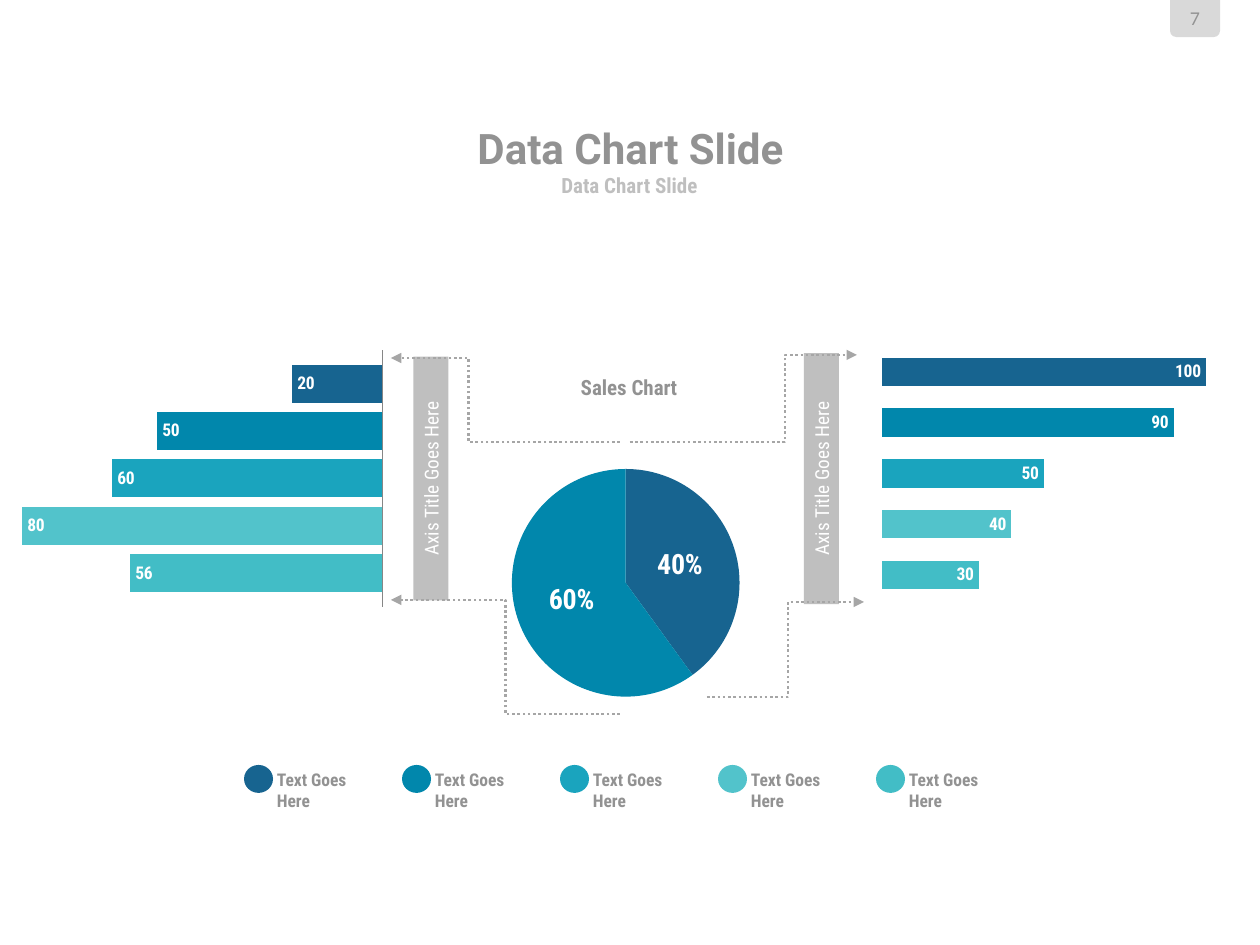
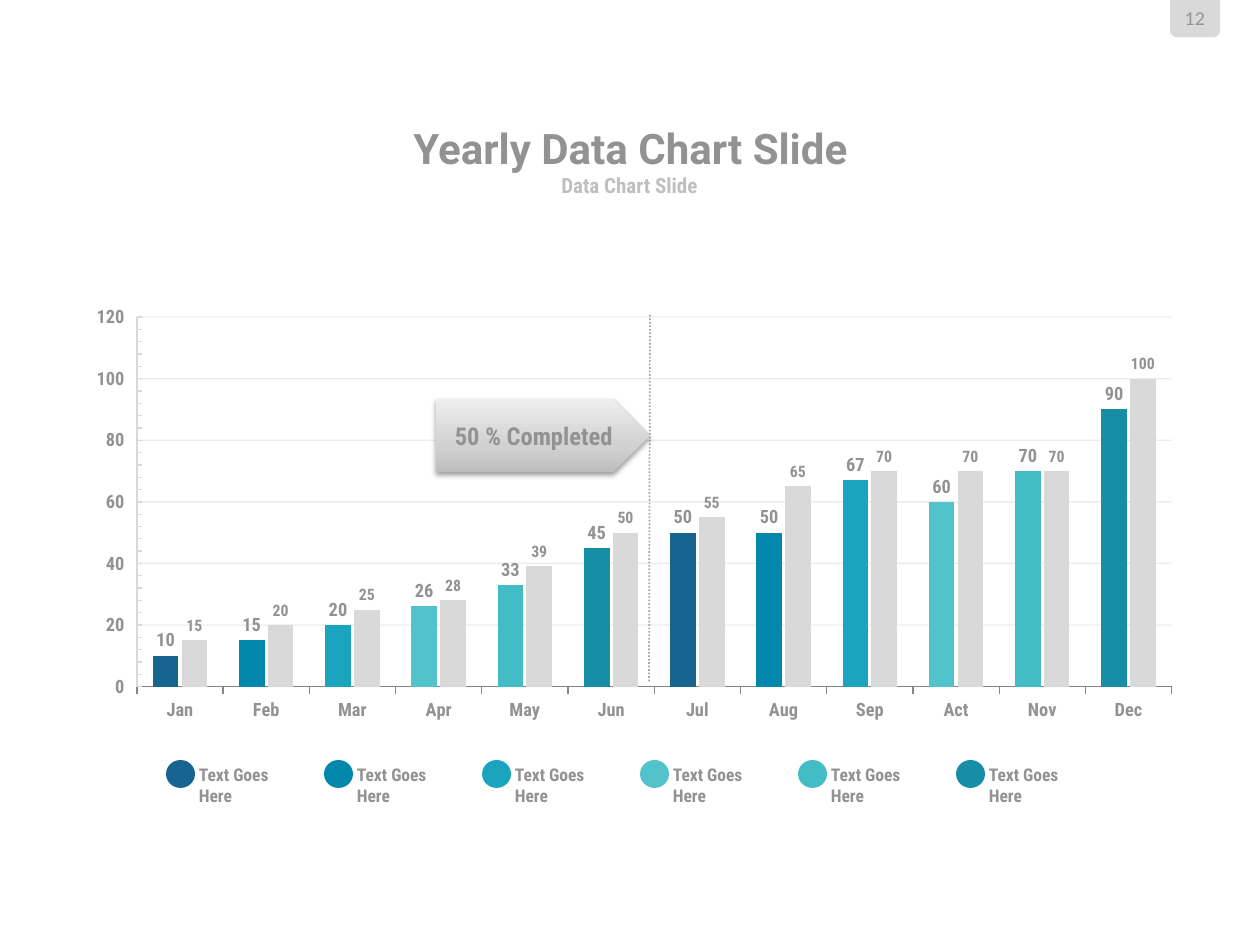
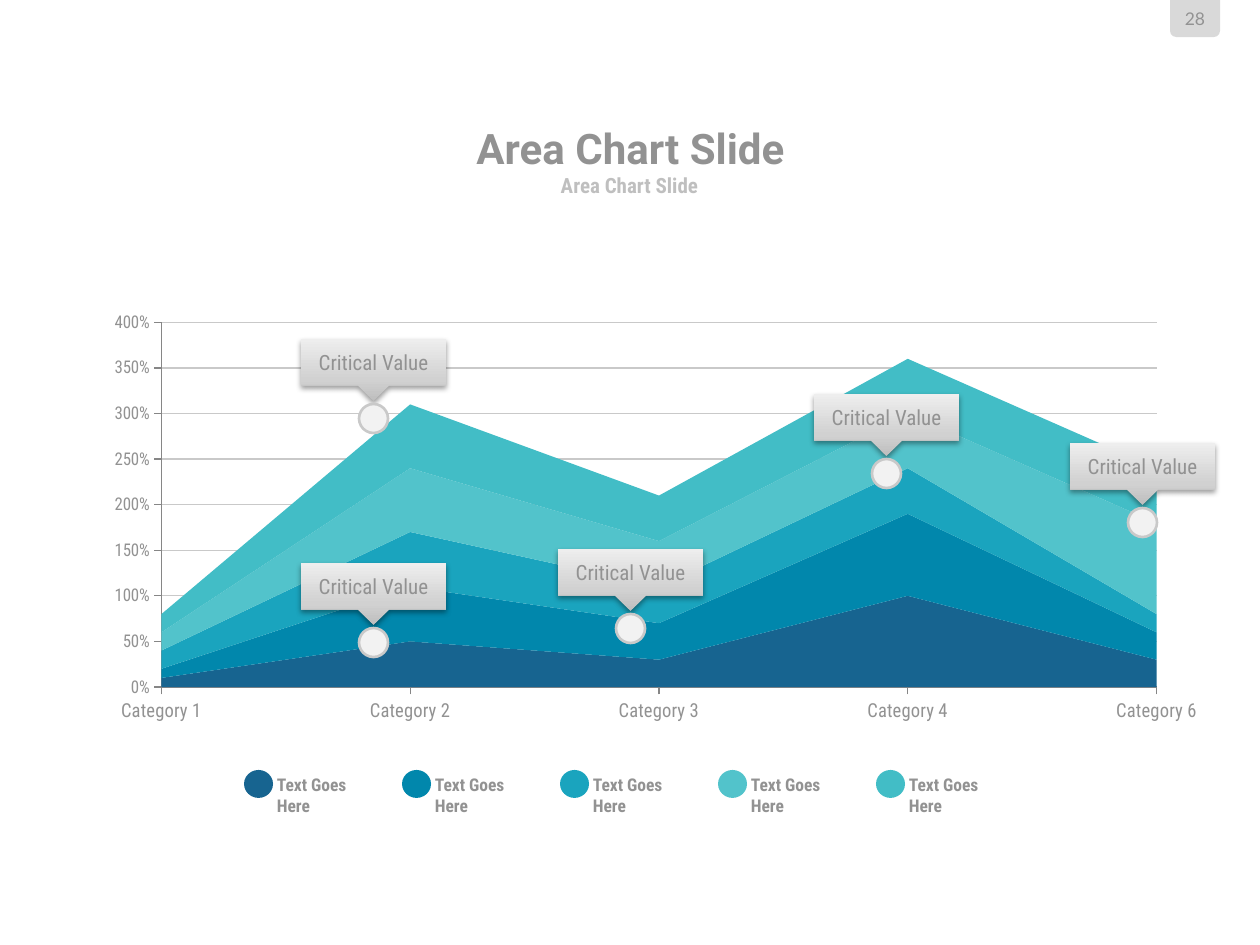
import lxml.etree
import pptx
import pptx.chart.data
import pptx.dml.color
import pptx.enum.chart
import pptx.enum.dml
import pptx.enum.shapes
import pptx.enum.text
import pptx.oxml
import pptx.oxml.ns
import pptx.util

PX = 914400 / 126
FONT = "Roboto Condensed"
COLORS = {
    "navy": "176490", "blue": "0187AC", "cyan": "1AA4BE", "aqua": "52C3CB",
    "teal": "42BDC6", "deep": "168EA6", "text": "929292", "subtitle": "BFBFBF",
    "tab": "D9D9D9", "white": "FFFFFF", "link": "A6A6A6", "grid": "C9C9C9",
    "dot": "F2F2F2", "axis": "868686",
}
RGB = {name: pptx.dml.color.RGBColor.from_string(v) for name, v in COLORS.items()}
PALETTE = ["navy", "blue", "cyan", "aqua", "teal", "deep"]
NS = pptx.oxml.ns.nsdecls("a")
GRADIENT = f"""<a:gradFill {NS} rotWithShape="1"><a:gsLst>
<a:gs pos="0"><a:srgbClr val="BEBEBE"/></a:gs>
<a:gs pos="35000"><a:srgbClr val="D1D1D1"/></a:gs>
<a:gs pos="100000"><a:srgbClr val="EEEEEE"/></a:gs>
</a:gsLst><a:lin ang="16200000" scaled="0"/></a:gradFill>"""
SHADOW = f"""<a:effectLst {NS}>
<a:outerShdw blurRad="40000" dist="20000" dir="5400000" rotWithShape="0">
<a:srgbClr val="000000"><a:alpha val="38000"/></a:srgbClr>
</a:outerShdw></a:effectLst>"""

qn = pptx.oxml.ns.qn
SHAPE = pptx.enum.shapes.MSO_SHAPE
CONNECTOR = pptx.enum.shapes.MSO_CONNECTOR
ALIGN = pptx.enum.text.PP_ALIGN
ANCHOR = pptx.enum.text.MSO_ANCHOR
CHART = pptx.enum.chart.XL_CHART_TYPE
TICK = pptx.enum.chart.XL_TICK_MARK
TICK_LABEL = pptx.enum.chart.XL_TICK_LABEL_POSITION
LABEL = pptx.enum.chart.XL_LABEL_POSITION


def px(*lengths):
    """Turn px lengths into a list of EMU."""
    return [pptx.util.Emu(round(n * PX)) for n in lengths]


def write(sp, text, size, color="text", font=FONT, bold=False,
          align=ALIGN.CENTER, anchor=ANCHOR.MIDDLE):
    tf = sp.text_frame
    tf.auto_size = pptx.enum.text.MSO_AUTO_SIZE.NONE
    tf.word_wrap = True
    tf.vertical_anchor = anchor
    tf.margin_left = tf.margin_right = tf.margin_top = tf.margin_bottom = 0
    p = tf.paragraphs[0]
    p.alignment = align
    p.space_before = pptx.util.Pt(0)
    r = p.add_run()
    r.text = text
    r.font.size = pptx.util.Pt(size)
    r.font.name = font
    r.font.bold = bold
    r.font.color.rgb = RGB[color]
    return p


prs = pptx.Presentation()
prs.slide_width, prs.slide_height = px(1260, 945)

# Shared parts: title, subtitle, page tab and legend
slides = []
for title, subtitle, page, legend_x, legend_y, legend_count in [
    ("Data Chart Slide", "Data Chart Slide", "7", 244, 765, 5),
    ("Yearly Data Chart Slide", "Data Chart Slide", "12", 166, 760, 6),
    ("Area Chart Slide", "Area Chart Slide", "28", 244, 770, 5),
]:
    s = prs.slides.add_slide(prs.slide_layouts[1])
    slides.append(s)
    sp = s.shapes.title
    sp.left, sp.top, sp.width, sp.height = px(242, 123, 777, 49)
    write(sp, title, 24, font="Roboto", bold=True)
    sp = s.placeholders[1]
    sp.left, sp.top, sp.width, sp.height = px(346, 171, 567, 28)
    pPr = write(sp, subtitle, 12, "subtitle", bold=True)._p.get_or_add_pPr()
    pPr.set("marL", "0")
    pPr.set("indent", "0")
    lxml.etree.SubElement(pPr, qn("a:buNone"))

    tab = s.shapes.add_shape(SHAPE.ROUND_2_SAME_RECTANGLE, *px(1170, 0, 50, 37))
    tab.rotation = 180
    tab.shadow.inherit = False
    tab.fill.solid()
    tab.fill.fore_color.rgb = RGB["tab"]
    tab.line.fill.background()
    write(s.shapes.add_textbox(*px(1174, 8, 42, 21)), page, 10, font="Lato")

    for i in range(legend_count):
        x = legend_x + 158 * i
        write(s.shapes.add_textbox(*px(x + 33, legend_y + 4, 100, 21)),
              "Text Goes Here", 10, bold=True, align=ALIGN.LEFT, anchor=ANCHOR.TOP)
        dot = s.shapes.add_shape(SHAPE.OVAL, *px(x, legend_y, 29, 28))
        dot.shadow.inherit = False
        dot.fill.solid()
        dot.fill.fore_color.rgb = RGB[PALETTE[i]]
        dot.line.fill.background()
sales, yearly, area = slides

# Charts: data, frame, inner plot area and base font
MONTHS = ["Jan", "Feb", "Mar", "Apr", "May", "Jun",
          "Jul", "Aug", "Sep", "Act", "Nov", "Dec"]
charts = []
for s, kind, frame, plot_box, size, color, bold, cats, rows in [
    (sales, CHART.PIE, (443, 349, 362, 414), (0.19, 0.29, 0.63, 0.55),
     16, "white", True, ["1", "2"], [[40, 60]]),
    (sales, CHART.BAR_CLUSTERED, (861, 336, 410, 267), (0.05, 0.08, 0.95, 0.87),
     10, "white", True, ["1"], [[100], [90], [50], [40], [30]]),
    (sales, CHART.BAR_CLUSTERED, (-31, 345, 422, 267), (0.02, 0.02, 0.96, 0.96),
     10, "white", True, ["1"], [[20], [50], [60], [80], [56]]),
    (yearly, CHART.COLUMN_CLUSTERED, (31, 294, 1176, 462), (0.09, 0.05, 0.88, 0.8),
     10.5, "text", True, MONTHS,
     [[10, 15, 20, 26, 33, 45, 50, 50, 67, 60, 70, 90],
      [15, 20, 25, 28, 39, 50, 55, 65, 70, 70, 70, 100]]),
    (area, CHART.AREA_STACKED, (63, 284, 1134, 480), (0.09, 0.08, 0.91, 0.76),
     11, "text", False, [f"Category {n}" for n in (1, 2, 3, 4, 6)],
     [[0.1, 0.5, 0.3, 1, 0.3], [0.1, 0.6, 0.4, 0.9, 0.3], [0.2, 0.6, 0.4, 0.5, 0.2],
      [0.2, 0.7, 0.5, 0.6, 1], [0.2, 0.7, 0.5, 0.6, 0.6]]),
]:
    data = pptx.chart.data.CategoryChartData()
    data.categories = cats
    for n, row in enumerate(rows, 1):
        data.add_series(f"Series {n}", row)
    chart = s.shapes.add_chart(kind, *px(*frame), data).chart
    charts.append(chart)
    chart.has_legend = False
    chart.has_title = False
    chart.font.size = pptx.util.Pt(size)
    chart.font.name = FONT
    chart.font.bold = bold
    chart.font.color.rgb = RGB[color]
    chart.plots[0].vary_by_categories = False
    for series, name in zip(chart.plots[0].series, PALETTE):
        series.format.fill.solid()
        series.format.fill.fore_color.rgb = RGB[name]

    plot_area = chart._chartSpace.chart.plotArea
    for old in plot_area.findall(qn("c:layout")):
        plot_area.remove(old)
    layout = lxml.etree.Element(qn("c:layout"))
    plot_area.insert(0, layout)
    manual = lxml.etree.SubElement(layout, qn("c:manualLayout"))
    for tag, val in [("layoutTarget", "inner"), ("xMode", "edge"), ("yMode", "edge"),
                     *zip("xywh", plot_box)]:
        lxml.etree.SubElement(manual, qn(f"c:{tag}"), val=str(val))
pie, right_bars, left_bars, columns, stack = charts

# Pie
pie.has_title = True
p = pie.chart_title.text_frame.paragraphs[0]
r = p.add_run()
r.text = "Sales Chart"
r.font.size = pptx.util.Pt(12)
r.font.bold = True
r.font.name = FONT
r.font.color.rgb = RGB["text"]
layout = pie.chart_title._element.find(qn("c:layout"))
manual = lxml.etree.SubElement(layout, qn("c:manualLayout"))
for tag, val in [("xMode", "edge"), ("yMode", "edge"), ("x", "0.37"), ("y", "0.05")]:
    lxml.etree.SubElement(manual, qn(f"c:{tag}"), val=val)
plot = pie.plots[0]
plot.vary_by_categories = True
for i in range(2):
    fill = plot.series[0].points[i].format.fill
    fill.solid()
    fill.fore_color.rgb = RGB[PALETTE[i]]
plot.has_data_labels = True
labels = plot.data_labels
labels.show_value = False
labels.show_percentage = True
labels.number_format = "0%"
labels.number_format_is_linked = False
labels.position = LABEL.CENTER

# Mirrored bars
for chart, gap, overlap, top in [(right_bars, 2, -78, 120), (left_bars, 75, -25, 90)]:
    plot = chart.plots[0]
    plot.gap_width = gap
    plot.overlap = overlap
    plot.has_data_labels = True
    plot.data_labels.show_value = True
    plot.data_labels.position = LABEL.INSIDE_END
    chart.category_axis.reverse_order = True
    chart.value_axis.has_major_gridlines = False
    chart.value_axis.minimum_scale = 0
    chart.value_axis.maximum_scale = top
right_bars.category_axis.visible = False
right_bars.value_axis.visible = False
left_bars.value_axis.reverse_order = True
for axis in (left_bars.category_axis, left_bars.value_axis):
    axis.tick_label_position = TICK_LABEL.NONE
    axis.major_tick_mark = TICK.NONE
left_bars.category_axis.format.line.color.rgb = RGB["axis"]
left_bars.value_axis.format.line.fill.background()

# Monthly columns and stacked areas share their axis style
for chart, top, step, grid, line in [(columns, 120, 20, "tab", "tab"),
                                     (stack, 4, 0.5, "grid", "axis")]:
    chart.category_axis.major_tick_mark = TICK.OUTSIDE
    chart.category_axis.format.line.color.rgb = RGB["axis"]
    axis = chart.value_axis
    axis.minimum_scale = 0
    axis.maximum_scale = top
    axis.major_unit = step
    axis.format.line.color.rgb = RGB[line]
    axis.format.line.width = pptx.util.Pt(0.75)
    axis.has_major_gridlines = True
    axis.major_gridlines.format.line.color.rgb = RGB[grid]
    axis.major_gridlines.format.line.width = pptx.util.Pt(0.75)

axis = columns.value_axis
axis.tick_label_position = TICK_LABEL.LOW
axis.major_tick_mark = TICK.NONE
axis.minor_tick_mark = TICK.INSIDE
axis.minor_unit = 4
grid_color = axis._element.xpath("c:majorGridlines//a:srgbClr")[0]
lxml.etree.SubElement(grid_color, qn("a:alpha"), val="48000")
plot = columns.plots[0]
plot.gap_width = 124
plot.overlap = -12
actual, target = plot.series
target.format.fill.fore_color.rgb = RGB["tab"]
for i in range(len(MONTHS)):
    fill = actual.points[i].format.fill
    fill.solid()
    fill.fore_color.rgb = RGB[PALETTE[i % len(PALETTE)]]
for series, size in [(actual, 10.5), (target, 9)]:
    labels = series.data_labels
    labels.show_value = True
    labels.position = LABEL.OUTSIDE_END
    labels.font.size = pptx.util.Pt(size)
    labels.font.name = FONT
    labels.font.bold = True
    labels.font.color.rgb = RGB["text"]

axis = stack.value_axis
axis.major_tick_mark = TICK.OUTSIDE
axis.tick_labels.font.size = pptx.util.Pt(10)
axis.tick_labels.number_format = "0%"
axis.tick_labels.number_format_is_linked = False
axis._element.find(qn("c:crossBetween")).set("val", "midCat")

# Axis titles beside the pie
for x, length in [(309, 244), (696, 251)]:
    bar = sales.shapes.add_shape(SHAPE.RECTANGLE, *px(x, 461, length, 35))
    bar.rotation = 270
    bar.shadow.inherit = False
    bar.fill.solid()
    bar.fill.fore_color.rgb = RGB["subtitle"]
    bar.line.fill.background()
    write(bar, "Axis Title Goes Here", 11, "white")

# Dotted lines: bent arrows have a bend position, the halfway mark has none
for s, ends, bend, width in [
    (sales, (630, 442, 857, 355), 68300, 1.5),
    (sales, (707, 697, 864, 602), 51700, 1.5),
    (sales, (620, 442, 391, 358), 66100, 1.5),
    (sales, (620, 714, 391, 600), 50000, 1.5),
    (yearly, (650, 315, 649, 683), None, 1),
]:
    kind = CONNECTOR.ELBOW if bend else CONNECTOR.STRAIGHT
    link = s.shapes.add_connector(kind, *px(*ends))
    link.line.color.rgb = RGB["link"]
    link.line.width = pptx.util.Pt(width)
    link.line.dash_style = pptx.enum.dml.MSO_LINE.ROUND_DOT
    spPr = link._element.spPr
    if bend:
        lxml.etree.SubElement(spPr.xpath(".//a:avLst")[0], qn("a:gd"),
                              name="adj1", fmla=f"val {bend}")
        lxml.etree.SubElement(spPr.find(qn("a:ln")), qn("a:tailEnd"), type="triangle")
    lxml.etree.SubElement(spPr, qn("a:effectLst"))

# Gradient callouts, with a marker under each critical value
CRITICAL = [(301, 563), (558, 549), (814, 394), (1070, 443), (301, 339)]
for s, kind, box, text, size, bold in [
    (yearly, SHAPE.PENTAGON, (436, 399, 214, 73), "50 % Completed", 14, True),
    *[(area, SHAPE.DOWN_ARROW_CALLOUT, (x, y, 145, 62), "Critical Value", 12, False)
      for x, y in CRITICAL],
]:
    sp = s.shapes.add_shape(kind, *px(*box))
    spPr = sp._element.spPr
    spPr.append(pptx.oxml.parse_xml(GRADIENT))
    sp.line.fill.background()
    spPr.append(pptx.oxml.parse_xml(SHADOW))
    write(sp, text, size, bold=bold)
    if kind == SHAPE.DOWN_ARROW_CALLOUT:
        sp.adjustments[3] = 0.75
        marker = s.shapes.add_shape(SHAPE.OVAL, *px(box[0] + 58, box[1] + 65, 29, 29))
        marker.shadow.inherit = False
        marker.fill.solid()
        marker.fill.fore_color.rgb = RGB["dot"]
        marker.line.color.rgb = RGB["grid"]
        marker.line.width = pptx.util.Pt(1.5)

prs.save("out.pptx")
